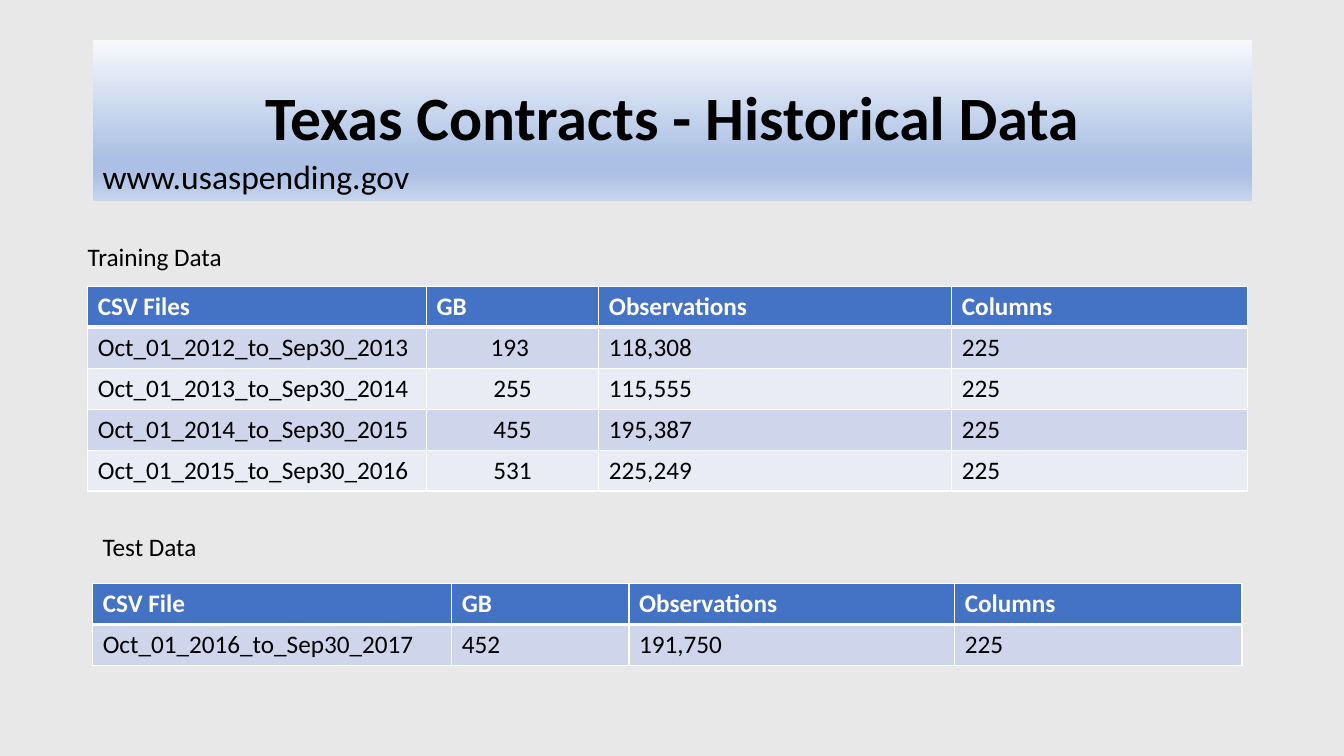
from lxml.etree import SubElement
from pptx import Presentation
from pptx.dml.color import RGBColor
from pptx.enum.shapes import MSO_SHAPE
from pptx.enum.text import MSO_ANCHOR, PP_ALIGN
from pptx.oxml.ns import qn
from pptx.util import Inches, Pt

# Places are left, top, width, height in percent of the slide's size.
TITLE = {"text": "Texas Contracts - Historical Data", "place": (6.9, 5.33, 86.27, 21.2)}
TITLE_GRADIENT = [(0, "F6F8FC"), (74, "ABC0E4"), (83, "ABC0E4"), (100, "C7D5ED")]
LABELS = [
    {"text": "Training Data", "place": (5.78, 31.2, 55.44, 9.47), "size": 18},
    {"text": "www.usaspending.gov", "place": (6.9, 20, 30.83, 6.67), "size": 24},
    {"text": "Test Data", "place": (6.9, 69.6, 21.53, 5.33), "size": 18},
]
TABLES = [
    {
        "corner": (6.53, 37.87),
        "columns": (25.2, 12.83, 26.26, 21.98),
        "centred": {1},
        "rows": [
            ("CSV Files", "GB", "Observations", "Columns"),
            ("Oct_01_2012_to_Sep30_2013", "193 ", "118,308", "225"),
            ("Oct_01_2013_to_Sep30_2014", "255", "115,555", "225"),
            ("Oct_01_2014_to_Sep30_2015", "455", "195,387", "225"),
            ("Oct_01_2015_to_Sep30_2016", "531", "225,249", "225"),
        ],
    },
    {
        "corner": (6.9, 77.2),
        "columns": (26.71, 13.2, 24.23, 21.38),
        "centred": set(),
        "rows": [
            ("CSV File", "GB", "Observations", "Columns"),
            ("Oct_01_2016_to_Sep30_2017", "452", "191,750", "225"),
        ],
    },
]
ROW_HEIGHT = 5.42
BACKGROUND, HEADER, BANDS = "E8E8E8", "4472C4", ("E9EBF5", "CFD5EA")
BLACK, WHITE = "000000", "FFFFFF"
FONT = "Calibri"

deck = Presentation()
deck.slide_width, deck.slide_height = Inches(13.33), Inches(7.5)
slide = deck.slides.add_slide(deck.slide_layouts[6])


def color(hex_code):
    return RGBColor.from_string(hex_code)


def across(percent):
    return round(deck.slide_width * percent / 100)


def down(percent):
    return round(deck.slide_height * percent / 100)


def box(place):
    left, top, width, height = place
    return across(left), down(top), across(width), down(height)


def write(frame, text, size=18, ink=BLACK, bold=False, align=PP_ALIGN.LEFT, spacing=None):
    paragraph = frame.paragraphs[0]
    paragraph.alignment = align
    paragraph.line_spacing = spacing
    run = paragraph.add_run()
    run.text = text
    run.font.name, run.font.size, run.font.bold = FONT, Pt(size), bold
    run.font.color.rgb = color(ink)


def fill_gradient(shape, stops):
    """Fill from top to bottom with (percent, colour) stops."""
    shape.fill.gradient()
    shape.fill.gradient_angle = 270
    stop_list = shape._element.spPr.find(qn("a:gradFill")).find(qn("a:gsLst"))
    for stop in list(stop_list):
        stop_list.remove(stop)
    for percent, hex_code in stops:
        stop = SubElement(stop_list, qn("a:gs"), pos=str(percent * 1000))
        SubElement(stop, qn("a:srgbClr"), val=hex_code)


def draw_borders(cell, top, bottom):
    """Draw white borders; top and bottom are widths in points."""
    properties = cell._tc.get_or_add_tcPr()
    for side, points in (("lnL", 1), ("lnR", 1), ("lnT", top), ("lnB", bottom)):
        line = SubElement(properties, qn(f"a:{side}"), w=str(Pt(points)))
        SubElement(SubElement(line, qn("a:solidFill")), qn("a:srgbClr"), val=WHITE)


def add_data_table(corner, columns, centred, rows):
    place = (*corner, sum(columns), ROW_HEIGHT * len(rows))
    table = slide.shapes.add_table(len(rows), len(columns), *box(place)).table
    for column, width in zip(table.columns, columns):
        column.width = across(width)
    for r, values in enumerate(rows):
        table.rows[r].height = down(ROW_HEIGHT)
        header = r == 0
        for c, value in enumerate(values):
            cell = table.cell(r, c)
            draw_borders(cell, top=3 if r == 1 else 1, bottom=3 if header else 1)
            cell.fill.solid()
            cell.fill.fore_color.rgb = color(HEADER if header else BANDS[r % 2])
            centre = c in centred and not header
            write(cell.text_frame, value, ink=WHITE if header else BLACK, bold=header,
                  align=PP_ALIGN.CENTER if centre else PP_ALIGN.LEFT)


slide.background.fill.solid()
slide.background.fill.fore_color.rgb = color(BACKGROUND)

banner = slide.shapes.add_shape(MSO_SHAPE.RECTANGLE, *box(TITLE["place"]))
banner.shadow.inherit = False
banner.line.fill.background()
fill_gradient(banner, TITLE_GRADIENT)
banner.text_frame.vertical_anchor = MSO_ANCHOR.MIDDLE
write(banner.text_frame, TITLE["text"], size=44, bold=True, align=PP_ALIGN.CENTER, spacing=0.9)

for data in TABLES:
    add_data_table(**data)

for label in LABELS:
    frame = slide.shapes.add_textbox(*box(label["place"])).text_frame
    frame.word_wrap = True
    write(frame, label["text"], size=label["size"])

deck.save("out.pptx")
